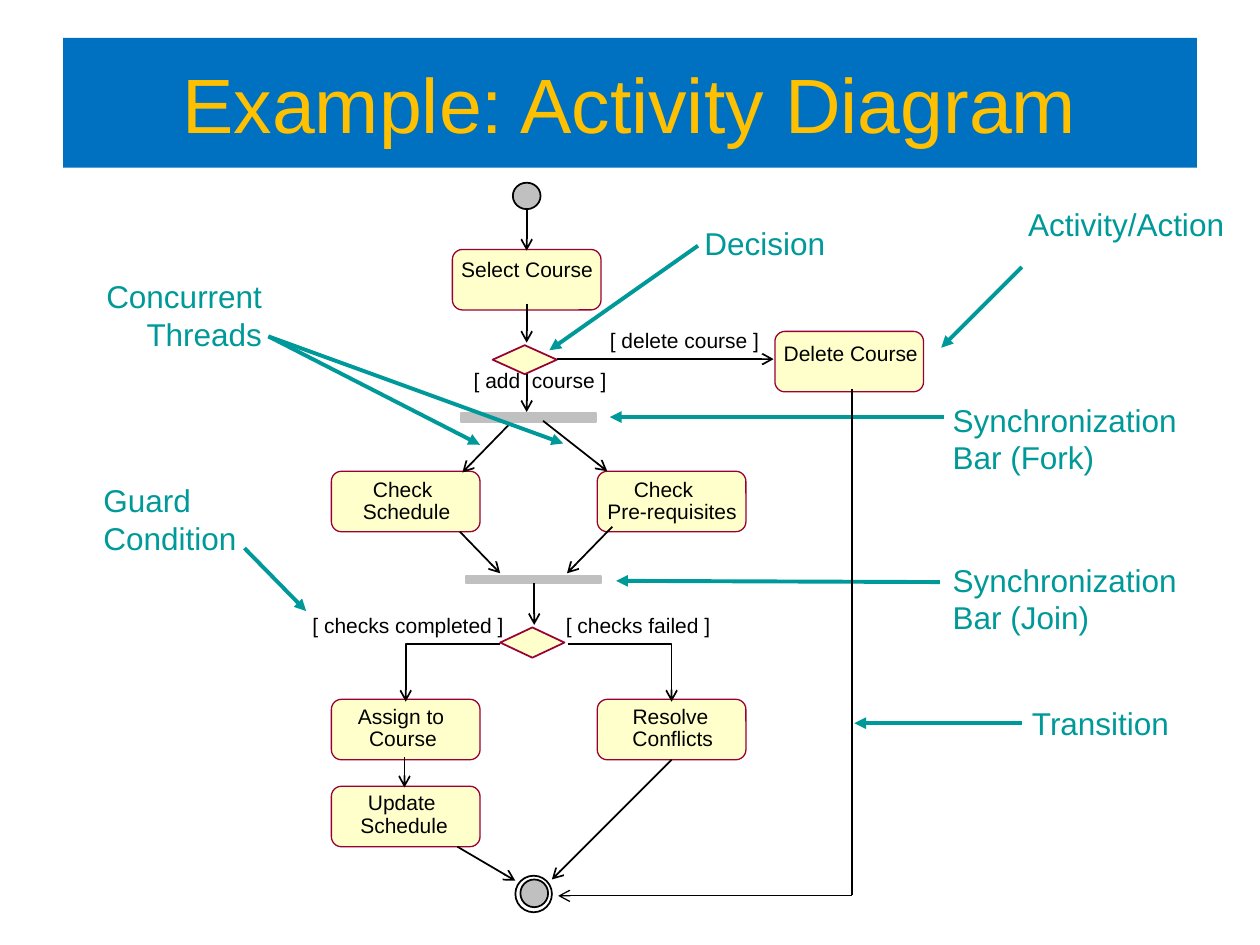
"""Build a slide that explains the parts of an activity diagram."""
from lxml.etree import SubElement
from pptx import Presentation
from pptx.dml.color import RGBColor
from pptx.enum.shapes import MSO_CONNECTOR, MSO_SHAPE
from pptx.enum.text import MSO_ANCHOR, MSO_AUTO_SIZE, PP_ALIGN
from pptx.oxml.ns import qn
from pptx.util import Cm, Pt

INCH = 2.54
BLACK, TEAL, CREAM, WINE, GRAY = "000000", "009999", "FFFFCC", "990033", "C0C0C0"


def paint(fill, color):
    """Give a shape, line or font fill a solid colour, or none."""
    if color is None:
        fill.background()
        return
    fill.solid()
    fill.fore_color.rgb = RGBColor.from_string(color)


def write(shape, text, size=12, color=BLACK, align=PP_ALIGN.LEFT,
          inset=(0, 0), wrap=False, fit=MSO_AUTO_SIZE.SHAPE_TO_FIT_TEXT,
          anchor=MSO_ANCHOR.TOP):
    """Fill a shape with formatted text."""
    frame = shape.text_frame
    frame.text = text
    frame.word_wrap = wrap
    frame.auto_size = fit
    frame.vertical_anchor = anchor
    frame.margin_left = frame.margin_right = Cm(inset[0] * INCH)
    frame.margin_top = frame.margin_bottom = Cm(inset[1] * INCH)
    for para in frame.paragraphs:
        para.alignment = align
        para.font.size = Pt(size)
        para.font.name = "Arial"
        paint(para.font.fill, color)


deck = Presentation()
deck.slide_width, deck.slide_height = Cm(10 * INCH), Cm(7.5 * INCH)
slide = deck.slides.add_slide(deck.slide_layouts[5])
shapes = slide.shapes

title = shapes.title
title.left, title.top, title.width, title.height = [
    Cm(v * INCH) for v in (0.5, 0.3, 9, 1.03)]
paint(title.fill, "0070C0")
write(title, "Example: Activity Diagram", size=44, color="FFC000",
      align=PP_ALIGN.CENTER, inset=(0.1, 0.05), wrap=True,
      fit=MSO_AUTO_SIZE.NONE, anchor=MSO_ANCHOR.MIDDLE)

steps = [(3.59, 1.98), (6.15, 2.63), (2.63, 3.74), (4.74, 3.74),
         (2.63, 5.55), (4.74, 5.55), (2.63, 6.24)]
nodes = [(MSO_SHAPE.ROUNDED_RECTANGLE, x, y, 1.18, 0.48, CREAM, WINE, 0)
         for x, y in steps]
nodes += [
    (MSO_SHAPE.OVAL, 4.07, 1.45, 0.22, 0.21, GRAY, BLACK, 1),
    (MSO_SHAPE.OVAL, 4.09, 6.95, 0.29, 0.29, None, BLACK, 1),
    (MSO_SHAPE.OVAL, 4.13, 6.98, 0.22, 0.22, GRAY, BLACK, 1),
    (MSO_SHAPE.DIAMOND, 3.91, 2.74, 0.51, 0.23, CREAM, WINE, 1),
    (MSO_SHAPE.DIAMOND, 3.97, 4.98, 0.51, 0.24, CREAM, WINE, 1),
    (MSO_SHAPE.RECTANGLE, 3.66, 3.28, 1.07, 0.07, GRAY, GRAY, 1),
    (MSO_SHAPE.RECTANGLE, 3.7, 4.57, 1.07, 0.06, GRAY, GRAY, 1),
]
for kind, x, y, wide, high, fill, edge, weight in nodes:
    node = shapes.add_shape(kind, *[Cm(v * INCH) for v in (x, y, wide, high)])
    node.shadow.inherit = False
    paint(node.fill, fill)
    paint(node.line.fill, edge)
    node.line.width = Pt(weight)

flows = [
    [(4.18, 1.66), (4.18, 1.99)],
    [(4.18, 2.41), (4.18, 2.72)],
    [(4.42, 2.85), (6.14, 2.85)],
    [(4.18, 2.97), (4.18, 3.27)],
    [(4.04, 3.37), (3.67, 3.75)],
    [(4.31, 3.34), (4.82, 3.74)],
    [(3.65, 4.22), (3.97, 4.55)],
    [(4.86, 4.18), (4.5, 4.55)],
    [(4.24, 4.63), (4.24, 4.96)],
    [(3.97, 5.11), (3.22, 5.11), (3.22, 5.57)],
    [(4.51, 5.11), (5.33, 5.11), (5.33, 5.57)],
    [(3.21, 6.01), (3.21, 6.25)],
    [(3.63, 6.72), (4.09, 6.99)],
    [(5.33, 6.03), (4.38, 6.98)],
]
hints = [
    [(8.11, 2.12), (7.47, 2.76)],
    [(5.54, 1.95), (4.36, 2.78)],
    [(2.13, 2.67), (3.81, 3.53)],
    [(2.13, 2.67), (4.47, 3.52)],
    [(7.49, 3.31), (4.84, 3.31)],
    [(1.94, 4.35), (2.43, 4.85)],
    [(7.46, 4.62), (4.89, 4.61)],
    [(8.11, 5.74), (6.78, 5.74)],
]
groups = [
    (flows, BLACK, 1, "arrow"),
    (hints, TEAL, 2.25, "triangle"),
    ([[(6.76, 3.09), (6.76, 7.1)]], BLACK, 1, "none"),
    ([[(6.76, 7.11), (4.43, 7.11)]], BLACK, 0.75, "arrow"),
]
for routes, color, weight, tip in groups:
    for route in routes:
        points = [(Cm(x * INCH), Cm(y * INCH)) for x, y in route]
        if len(points) == 2:
            link = shapes.add_connector(MSO_CONNECTOR.STRAIGHT, *points[0], *points[1])
        else:
            pen = shapes.build_freeform(*points[0])
            pen.add_line_segments(points[1:], close=False)
            link = pen.convert_to_shape()
            paint(link.fill, None)
        paint(link.line.fill, color)
        link.line.width = Pt(weight)
        props = link._element.spPr
        SubElement(props.find(qn("a:ln")), qn("a:tailEnd"), type=tip)
        SubElement(props, qn("a:effectLst"))

labels = [
    ("Select Course", 3.66, 2.04, 1.05),
    ("Delete Course", 6.22, 2.7, 1.07),
    ("[ delete course ]", 4.84, 2.6, 1.19),
    ("[ add  course ]", 3.76, 2.92, 1.1),
    ("Check", 2.96, 3.78, 0.52),
    ("Schedule", 2.88, 3.96, 0.7),
    ("Check", 5.03, 3.78, 0.52),
    ("Pre-requisites", 4.82, 3.96, 1.03),
    ("[ checks completed ]", 2.48, 4.86, 1.52),
    ("[ checks failed ]", 4.49, 4.86, 1.15),
    ("Assign to", 2.84, 5.58, 0.73),
    ("Course", 2.93, 5.76, 0.54),
    ("Resolve", 5.02, 5.58, 0.65),
    ("Conflicts", 5.02, 5.76, 0.64),
    ("Update", 2.92, 6.27, 0.58),
    ("Schedule", 2.86, 6.45, 0.7),
]
for text, x, y, wide in labels:
    box = shapes.add_textbox(*[Cm(v * INCH) for v in (x, y, wide, 0.2)])
    write(box, text)

notes = [
    ("Activity/Action", 8.04, 1.57, 1.93, 0.42, PP_ALIGN.LEFT),
    ("Decision", 5.47, 1.72, 1.21, 0.42, PP_ALIGN.LEFT),
    ("Concurrent Threads", 0.53, 2.14, 1.67, 0.72, PP_ALIGN.RIGHT),
    ("Synchronization\nBar (Fork)", 7.44, 3.12, 2.05, 0.72, PP_ALIGN.LEFT),
    ("Guard\nCondition", 0.7, 3.76, 1.31, 0.72, PP_ALIGN.LEFT),
    ("Synchronization\nBar (Join)", 7.44, 4.39, 2.05, 0.72, PP_ALIGN.LEFT),
    ("Transition", 8.07, 5.53, 1.42, 0.42, PP_ALIGN.LEFT),
]
for text, x, y, wide, high, align in notes:
    box = shapes.add_textbox(*[Cm(v * INCH) for v in (x, y, wide, high)])
    write(box, text, size=18, color=TEAL, align=align, inset=(0.12, 0.06), wrap=True)

deck.save("out.pptx")
